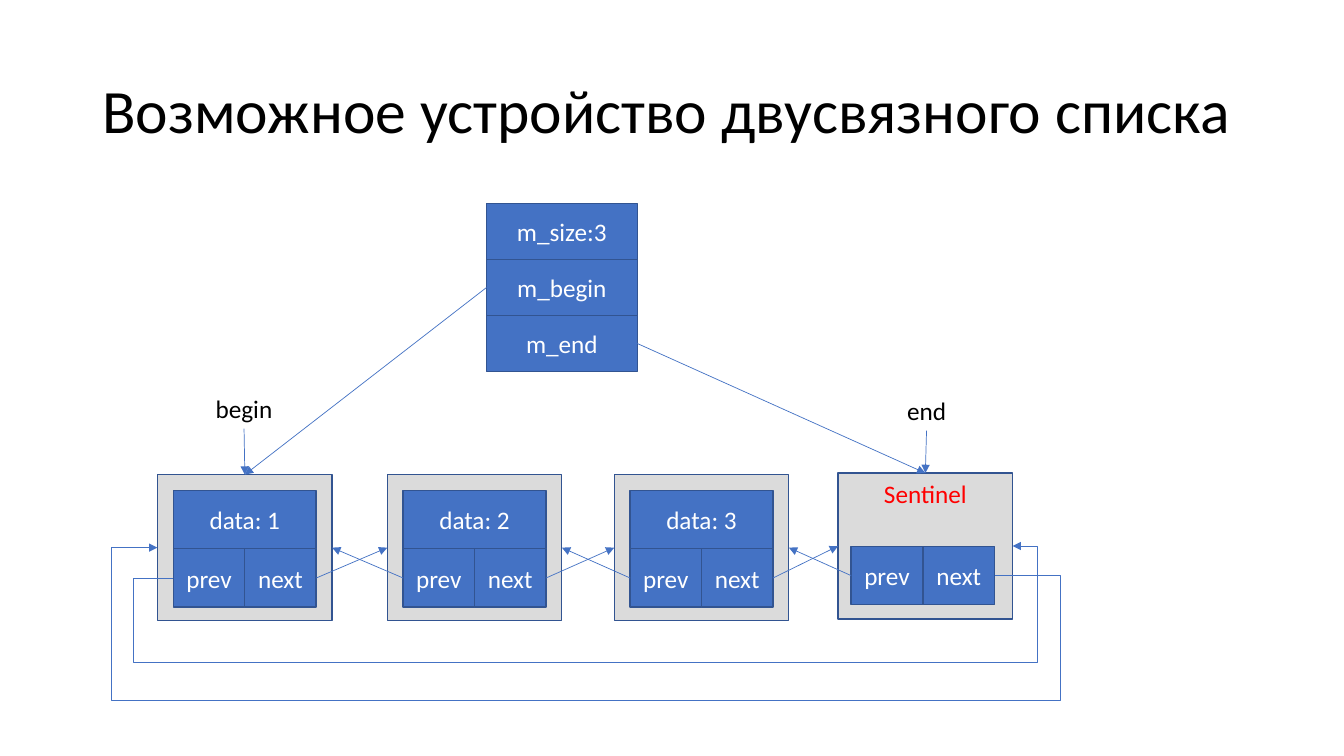
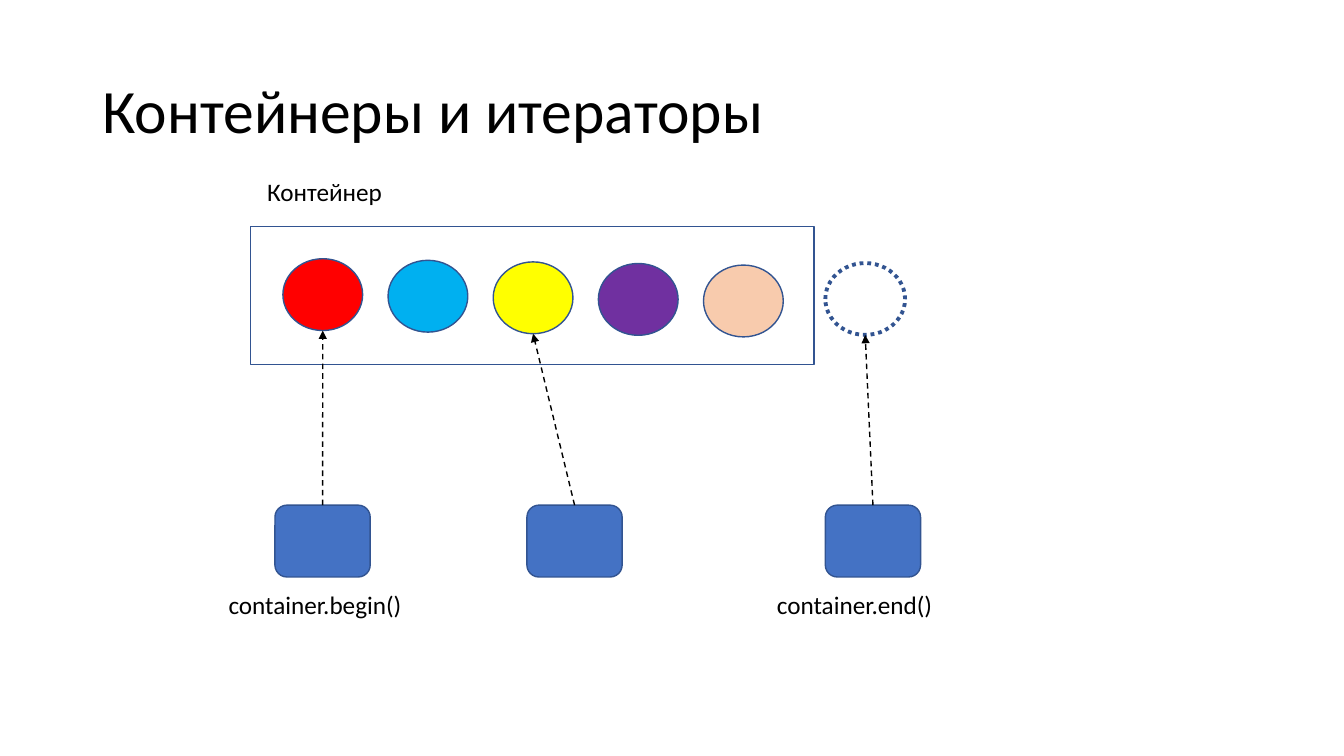
from dataclasses import dataclass
from itertools import pairwise

from lxml.etree import SubElement
from pptx import Presentation
from pptx.dml.color import RGBColor
from pptx.enum.dml import MSO_LINE
from pptx.enum.shapes import MSO_CONNECTOR, MSO_SHAPE
from pptx.enum.text import MSO_ANCHOR, PP_ALIGN
from pptx.oxml.ns import qn
from pptx.util import Cm, Pt

TOP, LEFT, BOTTOM, RIGHT = range(4)


@dataclass(frozen=True)
class Theme:
    font: str = "Calibri"
    title_size: float = 44
    body_size: float = 18
    text: str = "000000"
    light_text: str = "FFFFFF"
    warning: str = "FF0000"
    cell: str = "4472C4"
    outline: str = "325491"
    node: str = "DBDBDB"
    items: tuple = ("FF0000", "00B0F0", "FFFF00", "7030A0", "F8CBAD")
    outline_width: float = 1
    link_width: float = 0.5
    dotted_width: float = 2.75


THEME = Theme()


@dataclass(frozen=True)
class Box:
    """Area in centimetres."""
    left: float
    top: float
    width: float
    height: float

    def inside(self, dx, dy, width, height):
        return Box(self.left + dx, self.top + dy, width, height)

    def lengths(self):
        return Cm(self.left), Cm(self.top), Cm(self.width), Cm(self.height)


TITLE_BOX = Box(2.33, 1.01, 29.21, 3.68)
LIST_BOX = Box(2.8, 5.13, 23.94, 12.52)
ITERATOR_BOX = Box(5.51, 4.32, 20.02, 11.43)


# Shared building parts
def write(frame, text, size=THEME.body_size, color=THEME.text,
          align=PP_ALIGN.LEFT, anchor=MSO_ANCHOR.TOP, spacing=None):
    frame.word_wrap = True
    frame.vertical_anchor = anchor
    paragraph = frame.paragraphs[0]
    paragraph.alignment = align
    paragraph.line_spacing = spacing
    run = paragraph.add_run()
    run.text = text
    run.font.name = THEME.font
    run.font.size = Pt(size)
    run.font.color.rgb = RGBColor.from_string(color)


def add_label(slide, box, text, **text_format):
    label = slide.shapes.add_textbox(*box.lengths())
    write(label.text_frame, text, **text_format)
    return label


def add_figure(slide, box, preset=MSO_SHAPE.RECTANGLE, fill=None,
               width=THEME.outline_width, dash=None):
    figure = slide.shapes.add_shape(preset, *box.lengths())
    figure.shadow.inherit = False
    if fill:
        figure.fill.solid()
        figure.fill.fore_color.rgb = RGBColor.from_string(fill)
    else:
        figure.fill.background()
    figure.line.color.rgb = RGBColor.from_string(THEME.outline)
    figure.line.width = Pt(width)
    if dash:
        figure.line.dash_style = dash
    return figure


def add_cell(slide, box, text):
    cell = add_figure(slide, box, fill=THEME.cell)
    write(cell.text_frame, text, color=THEME.light_text,
          align=PP_ALIGN.CENTER, anchor=MSO_ANCHOR.MIDDLE)
    return cell


def side_point(figure, side):
    middle_x = figure.left + figure.width // 2
    middle_y = figure.top + figure.height // 2
    return ((middle_x, figure.top), (figure.left, middle_y),
            (middle_x, figure.top + figure.height),
            (figure.left + figure.width, middle_y))[side]


def add_arrow(slide, source, source_side, target, target_side,
              kind=MSO_CONNECTOR.STRAIGHT, color=THEME.cell,
              width=THEME.link_width, dash=None):
    arrow = slide.shapes.add_connector(
        kind, *side_point(source, source_side), *side_point(target, target_side))
    arrow.line.color.rgb = RGBColor.from_string(color)
    arrow.line.width = Pt(width)
    if dash:
        arrow.line.dash_style = dash
    properties = arrow.element.spPr
    SubElement(properties.find(qn("a:ln")), qn("a:tailEnd"), type="triangle")
    SubElement(properties, qn("a:effectLst"))
    return arrow


def link(slide, source, source_side, target, target_side):
    arrow = add_arrow(slide, source, source_side, target, target_side)
    arrow.begin_connect(source, source_side)
    arrow.end_connect(target, target_side)


def link_around(slide, source, source_side, target, target_side,
                first_x, low_y, last_x):
    """Five-part arrow that passes below the nodes."""
    arrow = add_arrow(slide, source, source_side, target, target_side,
                      kind=MSO_CONNECTOR.ELBOW)
    span_x = arrow.end_x - arrow.begin_x
    span_y = arrow.end_y - arrow.begin_y
    ratios = ((Cm(first_x) - arrow.begin_x) / span_x,
              (Cm(low_y) - arrow.begin_y) / span_y,
              (Cm(last_x) - arrow.begin_x) / span_x)
    geometry = arrow.element.spPr.find(qn("a:prstGeom"))
    geometry.set("prst", "bentConnector5")
    adjustments = geometry.find(qn("a:avLst"))
    for number, ratio in enumerate(ratios, 1):
        SubElement(adjustments, qn("a:gd"), name=f"adj{number}",
                   fmla=f"val {round(ratio * 100000)}")


def add_titled_slide(deck, title):
    slide = deck.slides.add_slide(deck.slide_layouts[6])
    add_label(slide, TITLE_BOX, title, size=THEME.title_size,
              anchor=MSO_ANCHOR.MIDDLE, spacing=0.9)
    return slide


# Doubly linked list
def add_header(slide, box):
    height = box.height / 3
    return [add_cell(slide, box.inside(0, row * height, box.width, height), text)
            for row, text in enumerate(("m_size:3", "m_begin", "m_end"))]


def add_pointers(slide, box):
    half = box.width / 2
    return [add_cell(slide, box.inside(column * half, 0, half, box.height), text)
            for column, text in enumerate(("prev", "next"))]


def add_node(slide, box, data):
    frame = add_figure(slide, box, fill=THEME.node)
    add_cell(slide, box.inside(0.4, 0.4, 3.6, 1.47), data)
    return frame, *add_pointers(slide, box.inside(0.4, 1.87, 3.6, 1.47))


def add_sentinel(slide, box):
    frame = add_figure(slide, box, fill=THEME.node)
    write(frame.text_frame, "Sentinel", color=THEME.warning, align=PP_ALIGN.CENTER)
    return frame, *add_pointers(slide, box.inside(0.33, 1.85, 3.62, 1.47))


def draw_list(slide, box):
    nodes = [add_node(slide, box.inside(x, 6.83, 4.4, 3.68), f"data: {number}")
             for number, x in enumerate((1.17, 6.96, 12.68), 1)]
    nodes.append(add_sentinel(slide, box.inside(18.32, 6.79, 4.4, 3.68)))

    # Links between neighbours
    for (frame, _, following), (next_frame, previous, _) in pairwise(nodes):
        link(slide, following, RIGHT, next_frame, LEFT)
        link(slide, previous, LEFT, frame, RIGHT)

    # Links that close the ring
    first, first_prev, _ = nodes[0]
    sentinel, _, sentinel_next = nodes[-1]
    right, bottom = box.left + box.width, box.top + box.height
    link_around(slide, first_prev, LEFT, sentinel, RIGHT,
                box.left + 0.55, bottom - 0.96, right - 0.58)
    link_around(slide, sentinel_next, RIGHT, first, LEFT,
                right, bottom, box.left)

    # List object and iterators
    _, begin_cell, end_cell = add_header(slide, box.inside(9.46, 0, 3.8, 4.23))
    link(slide, begin_cell, LEFT, first, TOP)
    link(slide, end_cell, RIGHT, sentinel, TOP)
    for text, x, y, node in (("begin", 2.08, 4.65, first),
                             ("end", 19.28, 4.7, sentinel)):
        label = add_label(slide, box.inside(x, y, 2.54, 1.02), text,
                          align=PP_ALIGN.CENTER)
        link(slide, label, BOTTOM, node, TOP)


# Container with iterators
def draw_iterators(slide, box):
    add_figure(slide, box.inside(0.81, 1.39, 14.2, 3.48))
    items = [add_figure(slide, box.inside(1.62 + 2.65 * i, 2.2 + 0.04 * i, 2.01, 1.81),
                        MSO_SHAPE.OVAL, fill=color)
             for i, color in enumerate(THEME.items)]
    past_end = add_figure(slide, box.inside(15.29, 2.31, 2.01, 1.81), MSO_SHAPE.OVAL,
                          width=THEME.dotted_width, dash=MSO_LINE.ROUND_DOT)

    for x, item in ((1.42, items[0]), (7.77, items[2]), (15.29, past_end)):
        iterator = add_figure(slide, box.inside(x, 8.41, 2.4, 1.81),
                              MSO_SHAPE.ROUNDED_RECTANGLE, fill=THEME.cell)
        arrow = add_arrow(slide, iterator, TOP, item, BOTTOM, color=THEME.text,
                          width=THEME.outline_width, dash=MSO_LINE.DASH)
        arrow.begin_connect(iterator, TOP)

    for text, x, y in (("Контейнер", 0.97, 0), ("container.begin()", 0, 10.41),
                       ("container.end()", 13.82, 10.41)):
        add_label(slide, box.inside(x, y, 6.2, 1.02), text)


def main():
    deck = Presentation()
    deck.slide_width, deck.slide_height = Cm(33.87), Cm(19.05)
    draw_list(add_titled_slide(deck, "Возможное устройство двусвязного списка"), LIST_BOX)
    draw_iterators(add_titled_slide(deck, "Контейнеры и итераторы"), ITERATOR_BOX)
    deck.save("out.pptx")


if __name__ == "__main__":
    main()
